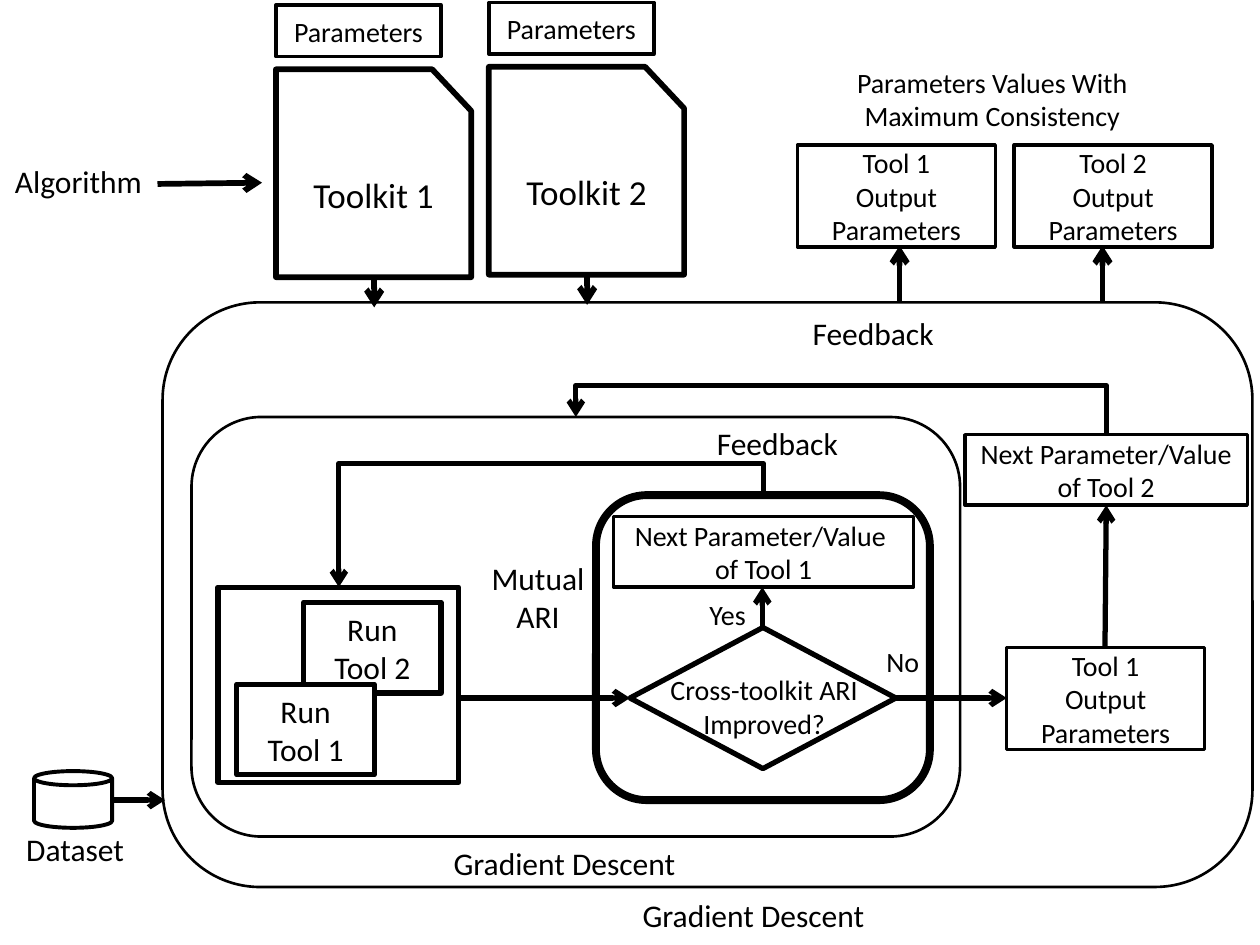
import pptx
import pptx.util
import pptx.dml.color
import pptx.enum.shapes
import pptx.enum.text
import pptx.oxml
import pptx.oxml.ns

Inches = pptx.util.Inches
Pt = pptx.util.Pt
SHAPE = pptx.enum.shapes.MSO_SHAPE
CONNECTOR = pptx.enum.shapes.MSO_CONNECTOR
ALIGN = pptx.enum.text.PP_ALIGN
COLORS = {"ink": "000000", "paper": "FFFFFF"}
FONT = "Calibri"
qn = pptx.oxml.ns.qn


def color(name):
    """Return the named colour."""
    return pptx.dml.color.RGBColor.from_string(COLORS[name])


def write(frame, lines, size, align=ALIGN.CENTER):
    """Write one paragraph per line into a text frame."""
    frame.word_wrap = True
    for index, line in enumerate(lines):
        paragraph = frame.paragraphs[0] if index == 0 else frame.add_paragraph()
        paragraph.alignment = align
        run = paragraph.add_run()
        run.text = line
        run.font.name = FONT
        run.font.size = Pt(size)
        run.font.color.rgb = color("ink")


def box(slide, kind, place, weight, lines=(), size=16, filled=False):
    """Draw an outlined shape with optional centred text."""
    shape = slide.shapes.add_shape(kind, *map(Inches, place))
    shape.shadow.inherit = False
    if filled:
        shape.fill.solid()
        shape.fill.fore_color.rgb = color("paper")
    else:
        shape.fill.background()
    shape.line.color.rgb = color("ink")
    shape.line.width = Pt(weight)
    shape.text_frame.vertical_anchor = pptx.enum.text.MSO_ANCHOR.MIDDLE
    write(shape.text_frame, lines, size)
    return shape


def label(slide, place, lines, size=18, align=ALIGN.CENTER):
    """Place free text."""
    frame = slide.shapes.add_textbox(*map(Inches, place)).text_frame
    write(frame, lines, size, align)
    frame.auto_size = pptx.enum.text.MSO_AUTO_SIZE.SHAPE_TO_FIT_TEXT


def style_arrow(connector, weight):
    """Give a connector its line, its arrowhead and no shadow."""
    connector.line.color.rgb = color("ink")
    connector.line.width = Pt(weight)
    head = pptx.oxml.parse_xml(
        '<a:tailEnd %s type="arrow"/>' % pptx.oxml.ns.nsdecls("a"))
    properties = connector._element.spPr
    properties.find(qn("a:ln")).append(head)
    properties.append(pptx.oxml.parse_xml(
        "<a:effectLst %s/>" % pptx.oxml.ns.nsdecls("a")))


def arrow(slide, start, end, weight=3):
    """Draw a straight arrow."""
    connector = slide.shapes.add_connector(
        CONNECTOR.STRAIGHT, *map(Inches, start + end))
    style_arrow(connector, weight)


def feedback_arrow(slide, start, end, top):
    """Draw an arrow that rises to top, runs left and drops to end."""
    (x1, y1), (x2, y2) = start, end
    width, height = abs(y2 - y1), x1 - x2
    left, upper = (x1 + x2 - width) / 2, (y1 + y2 - height) / 2
    connector = slide.shapes.add_connector(
        CONNECTOR.ELBOW,
        *map(Inches, (left, upper, left + width, upper + height)))
    properties = connector._element.spPr
    frame = properties.find(qn("a:xfrm"))
    frame.set("rot", "16200000")
    frame.set("flipV", "1")
    if y2 > y1:
        frame.set("flipH", "1")
    geometry = properties.find(qn("a:prstGeom"))
    bends = geometry.find(qn("a:avLst"))
    bend = round((top - y1) / (y2 - y1) * 100000)
    bends.append(pptx.oxml.parse_xml(
        '<a:gd %s name="adj1" fmla="val %d"/>' % (pptx.oxml.ns.nsdecls("a"), bend)))
    style_arrow(connector, 3)


def toolkit(slide, number, left, top):
    """Draw a toolkit card, its parameters and the arrow below it."""
    card = box(slide, SHAPE.FLOWCHART_CARD, (left, top, 1.55, 1.65), 3.25,
               ["Toolkit %d" % number], 20, True)
    card._element.spPr.find(qn("a:xfrm")).set("flipH", "1")
    box(slide, SHAPE.RECTANGLE, (left, top - 0.51, 1.31, 0.41), 2, ["Parameters"])
    arrow(slide, (left + 0.78, top + 1.64), (left + 0.78, top + 1.89), 3.25)


def output_box(slide, number, left, top):
    """Draw the output parameters of a tool."""
    box(slide, SHAPE.RECTANGLE, (left, top, 1.57, 0.81), 2,
        ["Tool %d" % number, "Output", "Parameters"])


def draw_inputs(slide):
    """Draw algorithm, dataset and toolkits."""
    label(slide, (0.02, 1.24, 1.22, 0.4), ["Algorithm"], align=ALIGN.LEFT)
    arrow(slide, (1.25, 1.46), (2.08, 1.45), 3.25)
    box(slide, SHAPE.CAN, (0.27, 6.12, 0.62, 0.45), 2.25, filled=True)
    label(slide, (0.11, 6.54, 0.99, 0.4), ["Dataset"], align=ALIGN.LEFT)
    arrow(slide, (0.88, 6.35), (1.31, 6.35))
    toolkit(slide, 1, 2.19, 0.55)
    toolkit(slide, 2, 3.88, 0.53)


def draw_inner_loop(slide):
    """Draw the loop that tunes tool 1."""
    box(slide, SHAPE.ROUNDED_RECTANGLE, (1.52, 3.31, 6.1, 3.33), 1.5)
    for number, left, top in ((2, 2.41, 4.78), (1, 1.88, 5.43)):
        box(slide, SHAPE.RECTANGLE, (left, top, 1.09, 0.72), 3,
            ["Run", "Tool %d" % number], 18, True)
    box(slide, SHAPE.RECTANGLE, (1.73, 4.66, 1.91, 1.55), 3)
    label(slide, (3.68, 4.39, 1.18, 0.71), ["Mutual", "ARI"])
    box(slide, SHAPE.ROUNDED_RECTANGLE, (4.73, 3.93, 2.65, 2.42), 4.5)
    feedback_arrow(slide, (6.06, 3.93), (2.69, 4.66), 3.68)
    arrow(slide, (3.66, 5.54), (5, 5.54))
    arrow(slide, (7.11, 5.54), (7.99, 5.54))
    box(slide, SHAPE.FLOWCHART_DECISION, (5, 4.98, 2.11, 1.12), 3, filled=True)
    label(slide, (5.18, 5.29, 1.77, 0.64), ["Cross-toolkit ARI", "Improved?"], 16)
    box(slide, SHAPE.RECTANGLE, (4.87, 4.1, 2.38, 0.56), 2,
        ["Next Parameter/Value ", "of Tool 1"])
    arrow(slide, (6.05, 4.98), (6.05, 4.66))
    label(slide, (5.44, 4.69, 0.67, 0.37), ["Yes"], 16)
    label(slide, (6.86, 5.07, 0.61, 0.37), ["No"], 16)
    label(slide, (5.04, 3.32, 2.26, 0.4), ["Feedback"])
    label(slide, (3.35, 6.65, 2.26, 0.4), ["Gradient Descent"])


def draw_outer_loop(slide):
    """Draw the loop that tunes tool 2."""
    box(slide, SHAPE.ROUNDED_RECTANGLE, (1.29, 2.4, 8.65, 4.64), 1.5)
    output_box(slide, 1, 7.99, 5.14)
    box(slide, SHAPE.RECTANGLE, (7.66, 3.45, 2.24, 0.56), 2,
        ["Next Parameter/Value", "of Tool 2"])
    arrow(slide, (8.77, 5.14), (8.78, 4.01))
    feedback_arrow(slide, (8.78, 3.45), (4.57, 3.31), 3.06)
    label(slide, (5.8, 2.44, 2.26, 0.4), ["Feedback"])
    label(slide, (4.85, 7.06, 2.26, 0.4), ["Gradient Descent"])


def draw_results(slide):
    """Draw the final parameters of both tools."""
    label(slide, (6.65, 0.47, 2.45, 0.64),
          ["Parameters Values With Maximum Consistency"], 16)
    for number, left, arrow_x in ((1, 6.33, 7.14), (2, 8.05, 8.75)):
        output_box(slide, number, left, 1.15)
        arrow(slide, (arrow_x, 2.4), (arrow_x, 1.95), 3.25)


def main():
    """Build and save the slide."""
    deck = pptx.Presentation()
    deck.slide_width, deck.slide_height = Inches(10), Inches(7.5)
    slide = deck.slides.add_slide(deck.slide_layouts[6])
    draw_inner_loop(slide)
    draw_outer_loop(slide)
    draw_inputs(slide)
    draw_results(slide)
    deck.save("out.pptx")


main()
